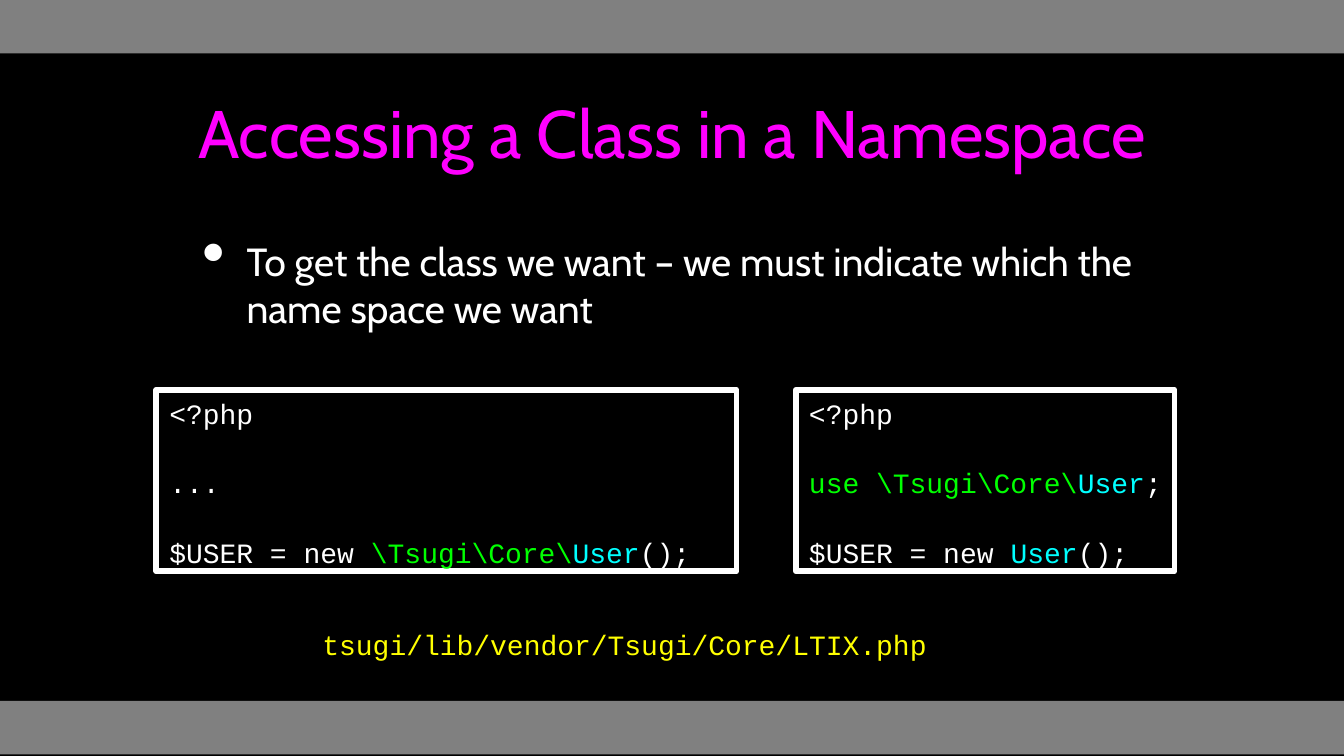
from lxml.etree import SubElement
from pptx import Presentation
from pptx.dml.color import RGBColor
from pptx.enum.shapes import MSO_SHAPE
from pptx.enum.text import MSO_ANCHOR, PP_ALIGN
from pptx.oxml.ns import qn
from pptx.util import Cm, Pt

COLORS = {
    "black": "000000", "gray": "808080", "white": "FFFFFF", "magenta": "FF00FF",
    "green": "00FF00", "cyan": "00FFFF", "yellow": "FFFF00",
}
FONTS = {
    "title": {"name": "Cabin", "size": Pt(36)},
    "body": {"name": "Cabin", "size": Pt(21)},
    "code": {"name": "Courier New", "size": Pt(15)},
}


def color(name):
    return RGBColor.from_string(COLORS[name])


def apply(target, values):
    for name, value in values.items():
        setattr(target, name, value)


class Deck:
    def __init__(self, width, height):
        self.prs = Presentation()
        apply(self.prs, {"slide_width": Cm(width), "slide_height": Cm(height)})
        self.s = self.prs.slides.add_slide(self.prs.slide_layouts[6])
        fill = self.s.background.fill
        fill.solid()
        fill.fore_color.rgb = color("black")

    def rect(self, box):
        sp = self.s.shapes.add_shape(MSO_SHAPE.RECTANGLE, *map(Cm, box))
        sp.shadow.inherit = False
        return sp

    def band(self, box):
        sp = self.rect(box)
        sp.fill.solid()
        sp.fill.fore_color.rgb = color("gray")
        sp.line.fill.background()

    def fill_text(self, sp, lines, style, frame, para, gap=0):
        tf = sp.text_frame
        apply(tf, {"word_wrap": True, **frame})
        for i, runs in enumerate(lines):
            p = tf.paragraphs[0] if i == 0 else tf.add_paragraph()
            apply(p, para)
            if i:
                p.space_before = Pt(gap)
            for text, name in runs:
                r = p.add_run()
                r.text = text
                apply(r.font, FONTS[style])
                r.font.color.rgb = color(name)
        return tf

    def text(self, box, text, style, name, inset=0.16, **para):
        sp = self.s.shapes.add_textbox(*map(Cm, box))
        frame = {"vertical_anchor": MSO_ANCHOR.MIDDLE,
                 "margin_left": Cm(inset), "margin_right": Cm(inset)}
        return self.fill_text(sp, [[(text, name)]], style, frame, para)

    def bullet(self, box, text):
        tf = self.text(box, text, "body", "white", space_before=Pt(12.8))
        pPr = tf.paragraphs[0]._p.get_or_add_pPr()
        pPr.set("marL", str(Cm(1.12)))
        pPr.set("indent", str(-Cm(0.84)))
        clr = SubElement(pPr, qn("a:buClr"))
        SubElement(clr, qn("a:srgbClr"), val=COLORS["white"])
        SubElement(pPr, qn("a:buSzPct"), val="171000")
        SubElement(pPr, qn("a:buChar"), char="•")

    def code(self, box, lines):
        sp = self.rect(box)
        sp.fill.background()
        sp.line.color.rgb = color("white")
        sp.line.width = Pt(3)
        frame = {"vertical_anchor": MSO_ANCHOR.TOP, "margin_right": 0}
        self.fill_text(sp, lines, "code", frame, {"alignment": PP_ALIGN.LEFT}, gap=19.2)


def main():
    deck = Deck(25.4, 14.29)
    for top in (0, 13.25):
        deck.band((0, top, 25.4, 1.01))
    deck.text((2.36, 1.02, 20.68, 2.95), "Accessing a Class in a Namespace",
              "title", "magenta", alignment=PP_ALIGN.CENTER)
    deck.bullet((3.38, 4.06, 18.59, 2.62),
                "To get the class we want – we must indicate which the name space we want")
    opening = [("<?php", "white")]
    create, user, call = ("$USER = new ", "white"), ("User", "cyan"), ("();", "white")
    deck.code((2.95, 7.37, 10.97, 3.43), [
        opening,
        [("...", "white")],
        [create, ("\\Tsugi\\Core\\", "green"), user, call],
    ])
    deck.code((15.04, 7.37, 7.16, 3.43), [
        opening,
        [("use \\Tsugi\\Core\\", "green"), user, (";", "white")],
        [create, user, call],
    ])
    deck.text((5.84, 11.73, 11.94, 0.89), "tsugi/lib/vendor/Tsugi/Core/LTIX.php",
              "code", "yellow", inset=0, alignment=PP_ALIGN.CENTER)
    deck.prs.save("out.pptx")


if __name__ == "__main__":
    main()
